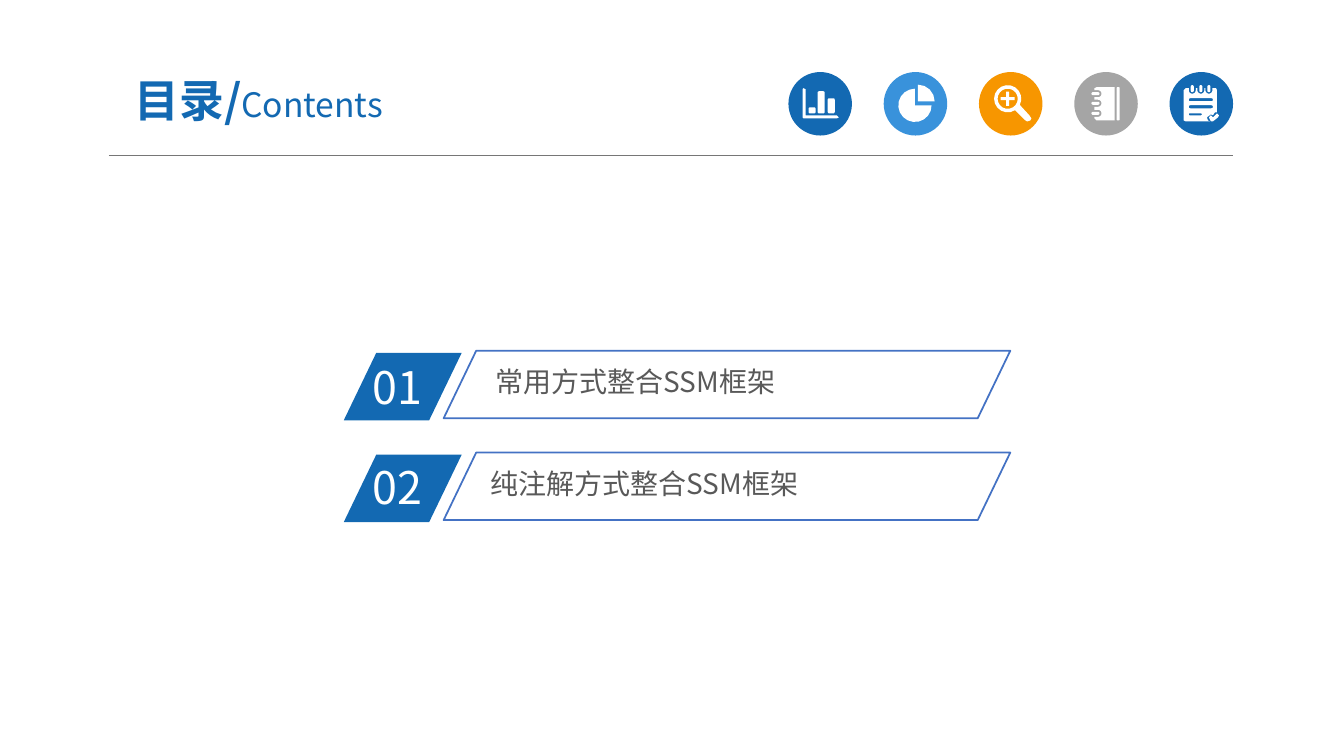
from dataclasses import dataclass
from math import cos, radians, sin
from typing import NamedTuple

from lxml.etree import SubElement
from pptx import Presentation
from pptx.dml.color import RGBColor
from pptx.enum.shapes import MSO_CONNECTOR, MSO_SHAPE
from pptx.enum.text import MSO_ANCHOR, MSO_AUTO_SIZE, PP_ALIGN
from pptx.oxml.ns import qn
from pptx.util import Inches, Pt

Contour = list[tuple[float, float]]


@dataclass(frozen=True)
class Theme:
    font: str = "Noto Sans CJK SC"
    blue: str = "1369B2"
    light_blue: str = "3992DB"
    orange: str = "F79600"
    grey: str = "A5A5A5"
    white: str = "FFFFFF"
    text: str = "595959"
    outline: str = "4472C4"
    rule: str = "767676"
    title_size: int = 32
    subtitle_size: int = 24
    label_size: int = 20


THEME = Theme()


class Box(NamedTuple):
    left: float
    top: float
    width: float
    height: float


class Icon(NamedTuple):
    """Disc colour and the white contours on it; nested contours are holes."""
    color: str
    contours: list[Contour]


class Entry(NamedTuple):
    number: str
    label: str
    number_top: float
    label_left: float


class Run(NamedTuple):
    text: str
    size: int
    color: str
    bold: bool = False


def arc(x: float, y: float, radius: float, start: float, end: float) -> Contour:
    """Points along an arc, in degrees clockwise from the right."""
    steps = max(2, round(abs(end - start) / 20))
    angles = [radians(start + (end - start) * step / steps) for step in range(steps + 1)]
    return [(x + radius * cos(angle), y + radius * sin(angle)) for angle in angles]


def bar(left: float, top: float, width: float, height: float,
        radius: float = 0.015) -> Contour:
    """A rectangle with rounded corners, clockwise from the top left."""
    near_x, far_x = left + radius, left + width - radius
    near_y, far_y = top + radius, top + height - radius
    return (arc(near_x, near_y, radius, 180, 270) + arc(far_x, near_y, radius, 270, 360)
            + arc(far_x, far_y, radius, 0, 90) + arc(near_x, far_y, radius, 90, 180))


def plus(x: float, y: float, reach: float, half: float) -> Contour:
    return [(x - half, y - reach), (x + half, y - reach), (x + half, y - half),
            (x + reach, y - half), (x + reach, y + half), (x + half, y + half),
            (x + half, y + reach), (x - half, y + reach), (x - half, y + half),
            (x - reach, y + half), (x - reach, y - half), (x - half, y - half)]


RING_CENTRES = (0.41, 0.31, 0.215)
CLIP_CENTRES = (0.225, 0.31, 0.39)
NOTCH = 0.035

ICONS = [
    # Bar chart
    Icon(THEME.blue, [
        [(0.14, 0.17), (0.15, 0.16), (0.17, 0.17), (0.17, 0.43), (0.48, 0.43),
         (0.5, 0.45), (0.48, 0.46), (0.15, 0.46), (0.14, 0.45)],
        bar(0.2, 0.35, 0.07, 0.06), bar(0.29, 0.19, 0.07, 0.22), bar(0.39, 0.26, 0.07, 0.15),
    ]),
    # Pie chart
    Icon(THEME.light_blue, [[(0.34, 0.29)] + arc(0.34, 0.29, 0.165, 270, 360),
                            [(0.31, 0.33)] + arc(0.31, 0.33, 0.165, 0, 270)]),
    # Magnifier
    Icon(THEME.orange, [
        arc(0.285, 0.265, 0.135, 57, 387)
        + [(0.5, 0.43), (0.52, 0.46), (0.51, 0.48), (0.48, 0.49), (0.46, 0.48)],
        arc(0.285, 0.265, 0.1, 0, 360), plus(0.285, 0.265, 0.07, 0.015),
    ]),
    # Notebook
    Icon(THEME.grey, [
        [(0.22, 0.15), (0.4, 0.15), (0.4, 0.48), (0.22, 0.48), (0.2, 0.46)]
        + [point for y in RING_CENTRES
           for point in [(0.2, y + NOTCH), *arc(0.235, y, NOTCH, 90, -90), (0.2, y - NOTCH)]]
        + [(0.2, 0.16)],
        bar(0.42, 0.15, 0.03, 0.33, 0.01),
        *(bar(0.17, y - 0.015, 0.08, 0.03) for y in RING_CENTRES),
    ]),
    # Notepad
    Icon(THEME.blue, [
        [(0.14, 0.18), (0.16, 0.16)]
        + [point for x in CLIP_CENTRES
           for point in [(x - NOTCH, 0.16), *arc(x, 0.18, NOTCH, 180, 0), (x + NOTCH, 0.16)]]
        + [(0.46, 0.16), (0.47, 0.18), (0.47, 0.4), (0.45, 0.4), (0.43, 0.43),
           (0.41, 0.42), (0.37, 0.45), (0.38, 0.48), (0.4, 0.49), (0.16, 0.49), (0.14, 0.48)],
        *(bar(x - 0.015, 0.13, 0.03, 0.07) for x in CLIP_CENTRES),
        bar(0.19, 0.26, 0.24, 0.03), bar(0.19, 0.33, 0.24, 0.03),
        bar(0.19, 0.41, 0.13, 0.02, 0.01),
        [(0.39, 0.45), (0.41, 0.43), (0.43, 0.45), (0.47, 0.41), (0.49, 0.43),
         (0.48, 0.45), (0.43, 0.49), (0.41, 0.49)],
    ]),
]
ICON_LEFT, ICON_TOP, ICON_SIZE, ICON_PITCH = 7.82, 0.715, 0.63, 0.945

ENTRIES = [Entry("01", "常用方式整合SSM框架", 3.52, 4.84),
           Entry("02", "纯注解方式整合SSM框架", 4.51, 4.79)]
ENTRY_TOP, ENTRY_PITCH = 3.48, 1.01


def paint(shape, fill: str | None, line: str | None = None) -> None:
    shape.shadow.inherit = False
    if fill:
        shape.fill.solid()
        shape.fill.fore_color.rgb = RGBColor.from_string(fill)
    else:
        shape.fill.background()
    if line:
        shape.line.color.rgb = RGBColor.from_string(line)
        shape.line.width = Pt(1.25)
    else:
        shape.line.fill.background()


def add_slanted_box(slide, box: Box, fill: str | None, line: str | None = None) -> None:
    shape = slide.shapes.add_shape(MSO_SHAPE.PARALLELOGRAM, *map(Inches, box))
    shape.adjustments[0] = 0.482
    paint(shape, fill, line)


def add_text(slide, box: Box, runs: list[Run], margins: tuple[float, float] = (0.1, 0.05),
             centred: bool = False) -> None:
    text_frame = slide.shapes.add_textbox(*map(Inches, box)).text_frame
    text_frame.word_wrap = True
    text_frame.margin_left = text_frame.margin_right = Inches(margins[0])
    text_frame.margin_top = text_frame.margin_bottom = Inches(margins[1])
    paragraph = text_frame.paragraphs[0]
    if centred:
        text_frame.vertical_anchor = MSO_ANCHOR.MIDDLE
        paragraph.alignment = PP_ALIGN.CENTER
    else:
        text_frame.auto_size = MSO_AUTO_SIZE.SHAPE_TO_FIT_TEXT
    for part in runs:
        run = paragraph.add_run()
        run.text = part.text
        run.font.size = Pt(part.size)
        run.font.bold = part.bold
        run.font.name = THEME.font
        run.font.color.rgb = RGBColor.from_string(part.color)
        # East Asian glyphs take their own typeface
        SubElement(run.font._element, qn("a:ea")).set("typeface", THEME.font)


def add_icon(slide, icon: Icon, left: float) -> None:
    disc_box = Box(left, ICON_TOP, ICON_SIZE, ICON_SIZE)
    paint(slide.shapes.add_shape(MSO_SHAPE.OVAL, *map(Inches, disc_box)), icon.color)
    contours = [[(Inches(left + x), Inches(ICON_TOP + y)) for x, y in contour]
                for contour in icon.contours]
    builder = slide.shapes.build_freeform(*contours[0][0])
    for index, contour in enumerate(contours):
        if index:
            builder.move_to(*contour[0])
        builder.add_line_segments(contour[1:], close=True)
    paint(builder.convert_to_shape(), THEME.white)


def add_entry(slide, entry: Entry, top: float) -> None:
    add_slanted_box(slide, Box(3.41, top + 0.02, 1.17, 0.67), THEME.blue)
    add_text(slide, Box(3.6, entry.number_top, 1.12, 0.64),
             [Run(entry.number, THEME.title_size, THEME.white)])
    add_text(slide, Box(entry.label_left, top + 0.1, 4.12, 0.41),
             [Run(entry.label, THEME.label_size, THEME.text)], (0.07, 0.04))
    add_slanted_box(slide, Box(4.4, top, 5.62, 0.67), None, THEME.outline)


def main() -> None:
    presentation = Presentation()
    presentation.slide_width, presentation.slide_height = Inches(13.33), Inches(7.5)
    slide = presentation.slides.add_slide(presentation.slide_layouts[6])

    # Header: rule, icons and title
    rule = slide.shapes.add_connector(MSO_CONNECTOR.STRAIGHT, Inches(1.08), Inches(1.54),
                                      Inches(12.23), Inches(1.54))
    rule.line.color.rgb = RGBColor.from_string(THEME.rule)
    rule.line.width = Pt(0.5)
    SubElement(rule._element.spPr, qn("a:effectLst"))
    for index, icon in enumerate(ICONS):
        add_icon(slide, icon, ICON_LEFT + index * ICON_PITCH)
    add_text(slide, Box(0.92, 0.63, 3.29, 0.72),
             [Run("目录/", THEME.title_size, THEME.blue, True),
              Run("Contents", THEME.subtitle_size, THEME.blue)], (0.13, 0.07), centred=True)

    # Contents entries
    for index, entry in enumerate(ENTRIES):
        add_entry(slide, entry, ENTRY_TOP + index * ENTRY_PITCH)

    presentation.save("out.pptx")


if __name__ == "__main__":
    main()
